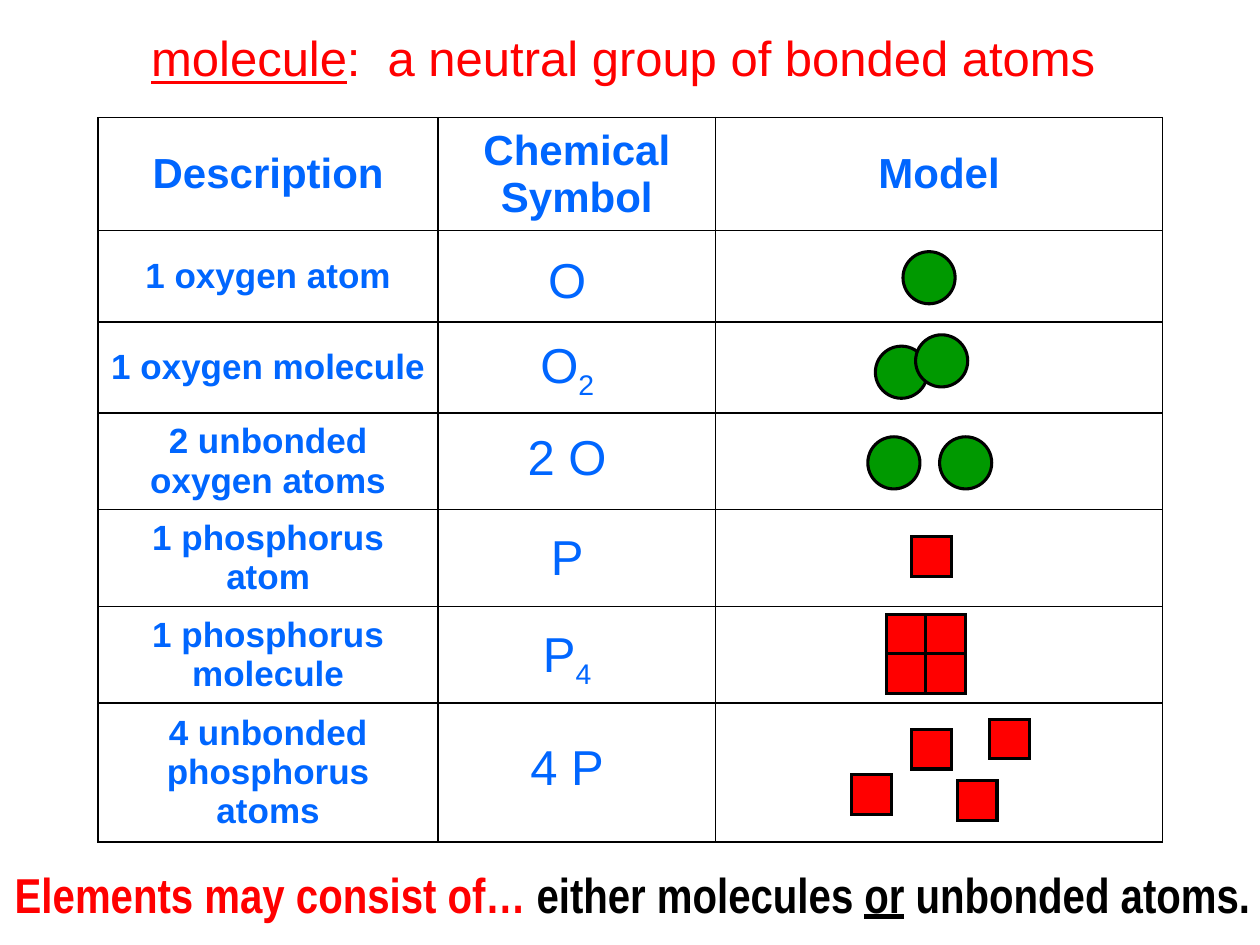
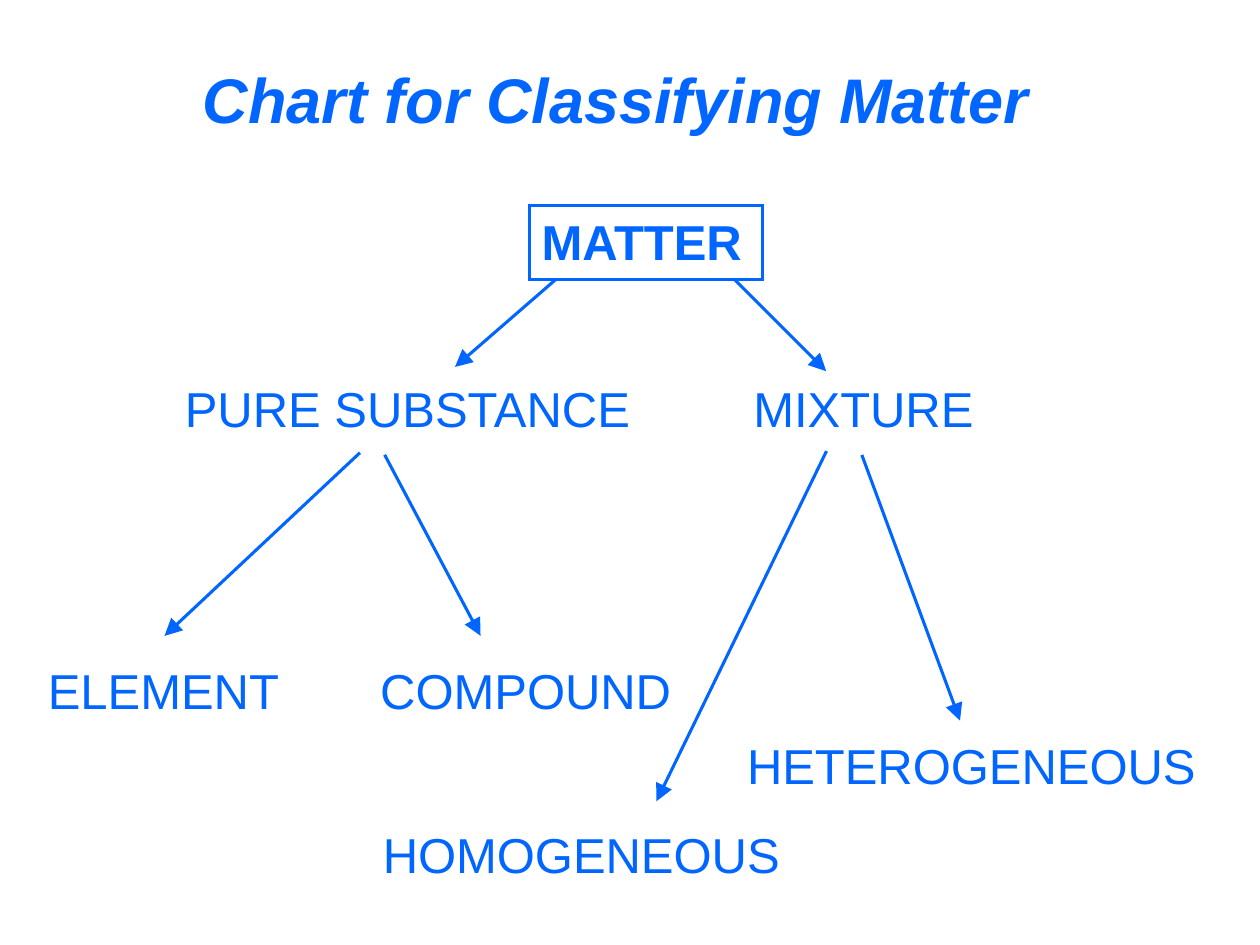
from collections import namedtuple
from itertools import accumulate

from pptx import Presentation
from pptx.dml.color import RGBColor
from pptx.enum.shapes import MSO_CONNECTOR, MSO_SHAPE
from pptx.enum.text import MSO_ANCHOR, MSO_AUTO_SIZE, PP_ALIGN
from pptx.oxml.ns import qn
from pptx.util import Pt
from lxml.etree import SubElement

COLOURS = {"blue": "0066FF", "red": "FF0000", "green": "009900", "black": "000000", "white": "FFFFFF"}
TEXT_SIZE, LABEL_HEIGHT, LINE_WIDTH = 28, 41.2, 1.75
TITLE_ONLY = 5

Box = namedtuple("Box", "left top width height")
Row = namedtuple("Row", "height description symbol subscript symbol_width symbol_drop particle places")

COLUMN_WIDTHS = [194.4, 158.4, 255.6]
HEADINGS = ["Description", "Chemical Symbol", "Model"]
HEADING_HEIGHT = 64.6
PARTICLES = {"oxygen": (MSO_SHAPE.OVAL, 29.8, "green"), "phosphorus": (MSO_SHAPE.RECTANGLE, 22.8, "red")}
ROWS = [
    Row(52.3, "1 oxygen atom", "O", "", 36, 7, "oxygen", [(107.2, 12)]),
    Row(52, "1 oxygen molecule", "O", "2", 46.8, 3.6, "oxygen", [(91.4, 13.7), (114.4, 7.2)]),
    Row(55.1, "2 unbonded oxygen atoms", "2 O", "", 59.8, 4.2, "oxygen", [(87.1, 13.5), (128.1, 13.5)]),
    Row(55.4, "1 phosphorus atom", "P", "", 33.1, 6, "phosphorus", [(112.3, 15.3)]),
    Row(55.1, "1 phosphorus molecule", "P", "4", 43.9, 6, "phosphorus",
        [(97.9 + 22.4 * column, 4.6 + 22.4 * line) for line in range(2) for column in range(2)]),
    Row(79.4, "4 unbonded phosphorus atoms", "4 P", "", 56.2, 15.7, "phosphorus",
        [(112.3, 15), (156.9, 9.2), (77.7, 40.9), (138.2, 44.5)]),
]

BRANCHES = [
    ("PURE SUBSTANCE", (78.6, 95.4, 278.6), (297.5, 42.8), (240, 92.7)),
    ("MIXTURE", (403.4, 95.4, 148.3), (399.8, 42.8), (452.1, 95.1)),
    ("ELEMENT", (0.2, 256.7, 154.8), (185.7, 141.7), (74, 246.4)),
    ("COMPOUND", (190.2, 256.7, 188.6), (199.8, 142.9), (254.6, 246.3)),
    ("HOMOGENEOUS", (191.7, 350.3, 249.1), (452.3, 140.8), (355.1, 340.9)),
    ("HETEROGENEOUS", (399.8, 299.2, 278.6), (472.5, 143), (528.6, 294.8)),
]


def colour(name):
    """Return the named colour."""
    return RGBColor.from_string(COLOURS[name])


def points(*lengths):
    """Turn numbers into lengths in points."""
    return [Pt(length) for length in lengths]


def write(frame, *texts, size=TEXT_SIZE, ink="blue", bold=False, italic=False,
          font="Arial", align=PP_ALIGN.LEFT, anchor=MSO_ANCHOR.MIDDLE, wrap=False):
    """Write one paragraph and return its runs."""
    frame.word_wrap = wrap
    frame.vertical_anchor = anchor
    para = frame.paragraphs[0]
    para.alignment = align
    para.font.name, para.font.size = font, Pt(size)
    para.font.bold, para.font.italic = bold, italic
    para.font.color.rgb = colour(ink)
    spans = []
    for text in texts:
        span = para.add_run()
        span.text = text
        spans.append(span)
    return spans


def add_label(page, box, *texts, margin=7.2, **style):
    """Add a text box and return its runs."""
    frame = page.shapes.add_textbox(*points(*box)).text_frame
    frame.margin_left = frame.margin_right = Pt(margin)
    return write(frame, *texts, **style)


def add_title(page, box, *texts, **style):
    """Place and write the title and return its runs."""
    title = page.shapes.title
    title.left, title.top, title.width, title.height = points(*box)
    title.text_frame.auto_size = MSO_AUTO_SIZE.NONE
    return write(title.text_frame, *texts, **style)


def add_outlined(page, kind, box, line, fill=None):
    """Add a preset shape with a sharp-cornered outline."""
    shape = page.shapes.add_shape(kind, *points(*box))
    shape.shadow.inherit = False
    shape.line.color.rgb = colour(line)
    shape.line.width = Pt(LINE_WIDTH)
    SubElement(shape._element.spPr.find(qn("a:ln")), qn("a:miter"), lim="800000")
    if fill:
        shape.fill.solid()
        shape.fill.fore_color.rgb = colour(fill)
    else:
        shape.fill.background()
    return shape


def add_arrow(page, start, end):
    """Draw an arrow between two points."""
    arrow = page.shapes.add_connector(MSO_CONNECTOR.STRAIGHT, *points(*start, *end))
    arrow.line.color.rgb = colour("blue")
    arrow.line.width = Pt(LINE_WIDTH)
    properties = arrow._element.spPr
    SubElement(properties.find(qn("a:ln")), qn("a:tailEnd"), type="triangle", w="lg", len="lg")
    SubElement(properties, qn("a:effectLst"))


def format_cell(cell):
    """Give a cell a white fill and black borders."""
    properties = cell._tc.get_or_add_tcPr()
    for side in ("lnL", "lnR", "lnT", "lnB"):
        border = SubElement(properties, qn(f"a:{side}"), w=str(Pt(1)))
        fill = SubElement(border, qn("a:solidFill"))
        SubElement(fill, qn("a:srgbClr"), val=COLOURS["black"])
    cell.fill.solid()
    cell.fill.fore_color.rgb = colour("white")


def add_table(page, box):
    """Add the table of descriptions, with blank symbol and model cells."""
    table = page.shapes.add_table(len(ROWS) + 1, len(HEADINGS), *points(*box)).table
    table.first_row = table.horz_banding = False
    for column, width in zip(table.columns, COLUMN_WIDTHS):
        column.width = Pt(width)
    for line, height in zip(table.rows, [HEADING_HEIGHT] + [row.height for row in ROWS]):
        line.height = Pt(height)
    for cell in table.iter_cells():
        format_cell(cell)
    entries = [(0, column, heading, 24) for column, heading in enumerate(HEADINGS)]
    entries += [(number, 0, row.description, 20) for number, row in enumerate(ROWS, 1)]
    for line, column, text, size in entries:
        cell = table.cell(line, column)
        write(cell.text_frame, text, size=size, bold=True, align=PP_ALIGN.CENTER, wrap=True)
        cell.vertical_anchor = MSO_ANCHOR.MIDDLE


def add_symbol(page, box, row):
    """Write a chemical symbol in its cell."""
    left = box.left + (box.width - row.symbol_width) / 2 - 5.5
    texts = [text for text in (row.symbol, row.subscript) if text]
    spans = add_label(page, (left, box.top + row.symbol_drop, row.symbol_width, LABEL_HEIGHT),
                      *texts, align=PP_ALIGN.CENTER, anchor=MSO_ANCHOR.TOP)
    for span in spans[1:]:
        span._r.get_or_add_rPr().set("baseline", "-25000")


def add_model(page, box, row):
    """Draw the particles of a model in its cell."""
    kind, size, fill = PARTICLES[row.particle]
    for across, down in row.places:
        add_outlined(page, kind, (box.left + across, box.top + down, size, size), "black", fill)


def add_conclusion(page, box):
    """Write the closing sentence on one line."""
    spans = add_label(page, box, "Elements may consist of…", " either molecules ", "or", " unbonded atoms.",
                      margin=0, ink="black", bold=True, font="Arial Narrow", align=PP_ALIGN.CENTER)
    spans[0].font.color.rgb = colour("red")
    spans[2].font.underline = True


def add_tree(page, box):
    """Draw the classification tree of matter."""
    root = add_outlined(page, MSO_SHAPE.RECTANGLE, (box.left + 282.4, box.top + 0.4, 133.2, 42.5), "blue")
    write(root.text_frame, "MATTER", bold=True, anchor=MSO_ANCHOR.TOP)
    for text, (across, down, width), start, end in BRANCHES:
        add_arrow(page, *[(box.left + x, box.top + y) for x, y in (start, end)])
        add_label(page, (box.left + across, box.top + down, width, LABEL_HEIGHT), text)


def build_molecule_page(page):
    """Build the page that compares atoms and molecules."""
    spans = add_title(page, Box(79.2, 12.2, 555.8, LABEL_HEIGHT),
                      "molecule", ":  a neutral group of bonded atoms", ink="red")
    spans[0].font.underline = True
    box = Box(56, 67.2, sum(COLUMN_WIDTHS), HEADING_HEIGHT + sum(row.height for row in ROWS))
    add_table(page, box)
    lefts = list(accumulate(COLUMN_WIDTHS, initial=box.left))
    tops = accumulate([row.height for row in ROWS], initial=box.top + HEADING_HEIGHT)
    for row, top in zip(ROWS, tops):
        add_symbol(page, Box(lefts[1], top, COLUMN_WIDTHS[1], row.height), row)
        add_model(page, Box(lefts[2], top, COLUMN_WIDTHS[2], row.height), row)
    add_conclusion(page, Box(1.4, 490.3, 720, LABEL_HEIGHT))


def build_matter_page(page):
    """Build the page that classifies matter."""
    add_title(page, Box(108.7, 31, 496.8, 50.4), "Chart for Classifying Matter",
              size=36, bold=True, italic=True)
    add_tree(page, Box(20, 117, 680, 392))


def main():
    """Build and save the deck."""
    deck = Presentation()
    deck.slide_width, deck.slide_height = points(720, 540)
    for build in (build_molecule_page, build_matter_page):
        build(deck.slides.add_slide(deck.slide_layouts[TITLE_ONLY]))
    deck.save("out.pptx")


if __name__ == "__main__":
    main()
